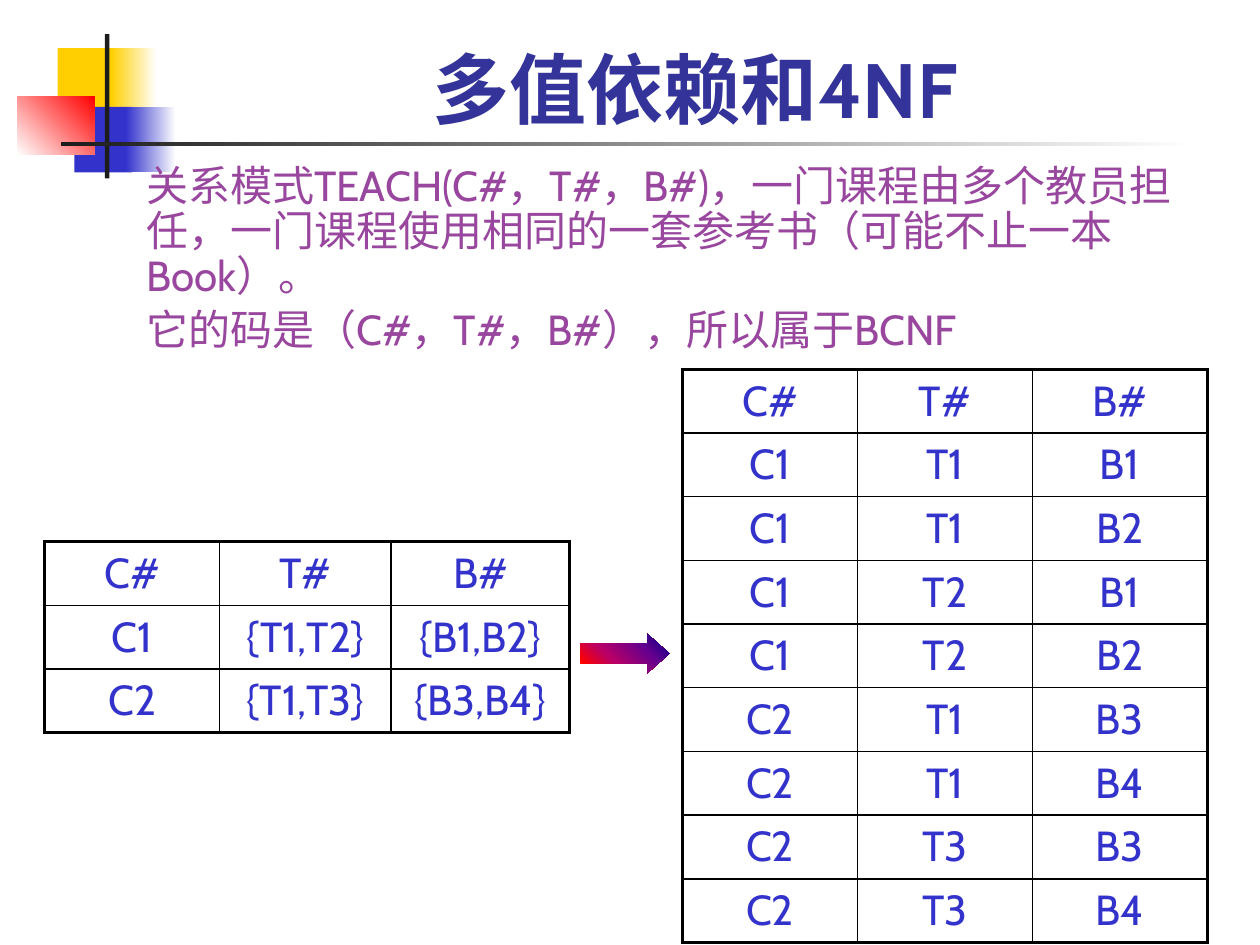
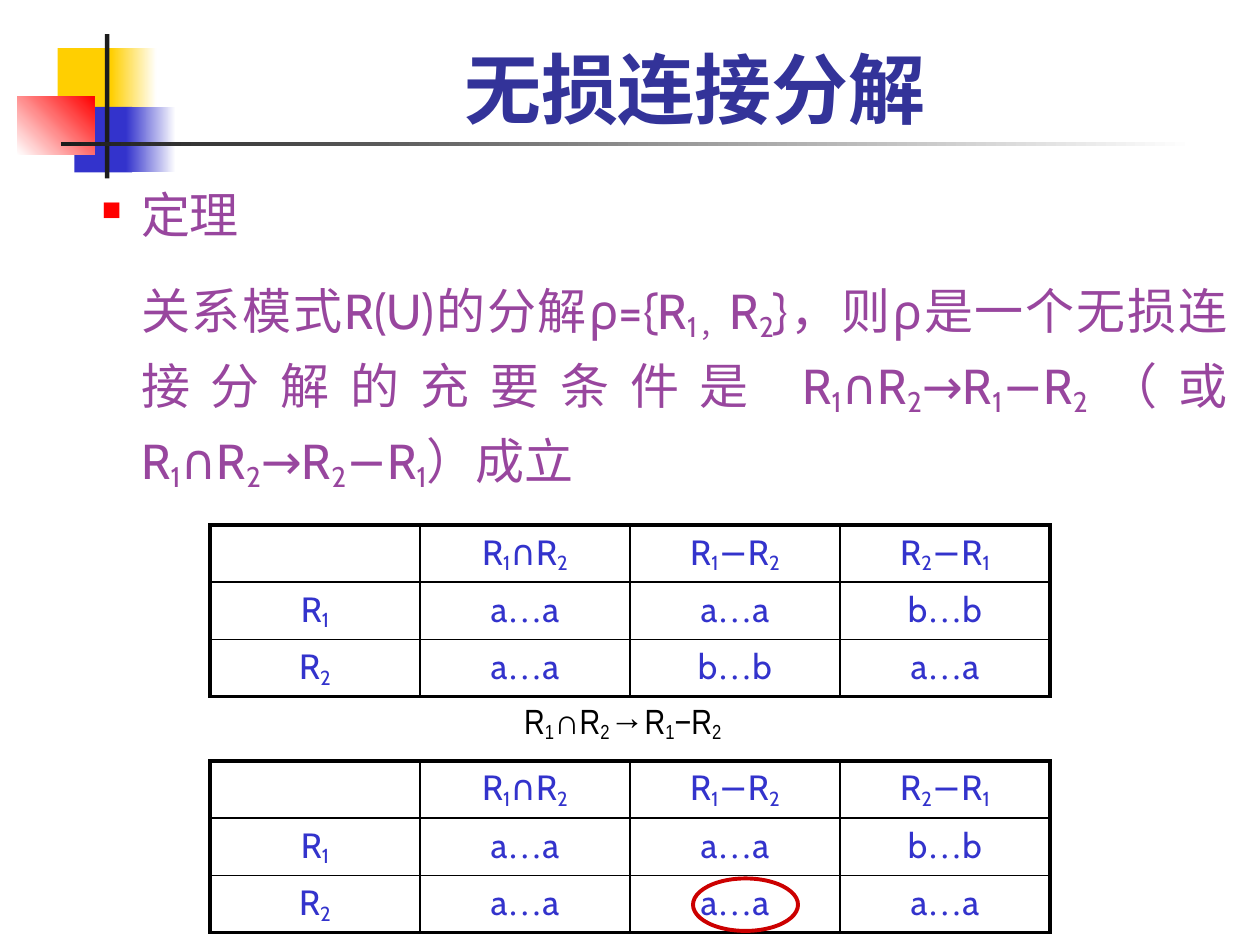
from itertools import groupby
from lxml.etree import SubElement
from pptx import Presentation
from pptx.dml.color import RGBColor
from pptx.enum.shapes import MSO_SHAPE as Shape
from pptx.enum.text import MSO_ANCHOR as Anchor, MSO_AUTO_SIZE as AutoSize, PP_ALIGN as Align
from pptx.oxml.ns import qn
from pptx.util import Pt

YELLOW = RGBColor(0xFF, 0xCF, 0x01)
BLUE = RGBColor(0x33, 0x33, 0xCC)
RED = RGBColor(0xFF, 0x00, 0x00)
WHITE = RGBColor(0xFF, 0xFF, 0xFF)
BLACK = RGBColor(0x00, 0x00, 0x00)
CHARCOAL = RGBColor(0x1C, 0x1C, 0x1C)
TITLE_BLUE = RGBColor(0x33, 0x33, 0x99)
PURPLE = RGBColor(0x98, 0x46, 0x9E)
RING_RED = RGBColor(0xCC, 0x00, 0x00)
ARROW_STOPS = [
    (0, RGBColor(0xFF, 0x82, 0x00)),
    (10, RED),
    (35, RGBColor(0xBA, 0x00, 0x66)),
    (70, RGBColor(0x66, 0x00, 0x8F)),
    (100, RGBColor(0x00, 0x00, 0x82)),
]
FONT, CAPTION_FONT, DOTS_FONT = "Cabin", "Arial Narrow", "Times New Roman"
OUTER_LINE, INNER_LINE = 2.25, 1
TITLE_BOX = (90.5, 12.25, 613.5, 67.75)
BODY_MARGIN, BULLET_HANG = 58.5, 22.5

DECORATION = [
    ((33, 27.5, 34.5, 37.5), [YELLOW], 0),
    ((63.5, 27.5, 26, 37.5), [YELLOW, WHITE], 0),
    ((42.5, 61, 33, 37.5), [BLUE], 0),
    ((72, 61, 28.5, 37.5), [BLUE, WHITE], 0),
    ((10, 55, 44, 33.5), [WHITE, RED], 45),
    ((60, 19.5, 2.5, 82.5), [CHARCOAL], 0),
    ((35, 81.25, 648, 2.5), [CHARCOAL, WHITE], 0),
]

TEACH_TITLE = "多值依赖和4NF"
TEACH_TEXT = [
    "关系模式TEACH(C#，T#，B#)，一门课程由多个教员担任，一门课程使用相同的一套参考书（可能不止一本Book）。",
    "它的码是（C#，T#，B#），所以属于BCNF",
]
TEACH_HEAD = ["C#", "T#", "B#"]
COURSES = [
    ("C1", ["T1", "T2"], ["B1", "B2"]),
    ("C2", ["T1", "T3"], ["B3", "B4"]),
]

JOIN_TITLE = "无损连接分解"
THEOREM_HEAD = "定理"
THEOREM = (
    "关系模式R(U)的分解ρ={R_1_，R_2}，则ρ是一个无损连接分解的充要条件是 "
    "R_1∩R_2→R_1−R_2（或R_1∩R_2→R_2−R_1）成立"
)
JOIN_HEAD = ["", "R_1∩R_2", "R_1−R_2", "R_2−R_1"]
JOIN_BEFORE = [
    JOIN_HEAD,
    ["R_1", "a…a", "a…a", "b…b"],
    ["R_2", "a…a", "b…b", "a…a"],
]
JOIN_AFTER = JOIN_BEFORE[:2] + [["R_2", "a…a", "a…a", "a…a"]]
JOIN_CAPTION = "R_1∩R_2→R_1−R_2"


def points(place):
    return [Pt(value) for value in place]


def marked_characters(text):
    lowered = False
    for letter in text:
        if letter == "_":
            lowered = True
        else:
            yield letter, lowered, letter == "…"
            lowered = False


def write(para, text, size, color, font=FONT, bold=False, align=Align.LEFT):
    para.alignment = align
    para.font.name, para.font.size, para.font.bold = font, Pt(size), bold
    para.font.color.rgb = color
    for (lowered, dots), letters in groupby(marked_characters(text), lambda mark: mark[1:]):
        span = para.add_run()
        span.text = "".join(letter[0] for letter in letters)
        if lowered:
            span._r.get_or_add_rPr().set("baseline", "-16000")
        if dots:
            span.font.name = DOTS_FONT


def add_frame(page, place, wrap=True):
    frame = page.shapes.add_textbox(*points(place)).text_frame
    frame.word_wrap = wrap
    return frame


def indent(para, hang=0):
    properties = para._p.get_or_add_pPr()
    properties.set("marL", str(Pt(BODY_MARGIN)))
    properties.set("indent", str(-Pt(hang)))
    return properties


def add_bullet(para):
    properties = indent(para, BULLET_HANG)
    bullet_color = SubElement(properties, qn("a:buClr"))
    SubElement(bullet_color, qn("a:srgbClr"), val=str(RED))
    SubElement(properties, qn("a:buSzPct"), val="55000")
    SubElement(properties, qn("a:buChar"), char="■")


def add_plain_shape(page, kind, place):
    shape = page.shapes.add_shape(kind, *points(place))
    shape.shadow.inherit = False
    shape.line.fill.background()
    return shape


def fill_gradient(shape, stops, angle):
    shape.fill.gradient()
    shape.fill.gradient_angle = angle
    stop_list = shape._element.spPr.find(qn("a:gradFill")).find(qn("a:gsLst"))
    stop_list.clear()
    for position, color in stops:
        stop = SubElement(stop_list, qn("a:gs"), pos=str(position * 1000))
        SubElement(stop, qn("a:srgbClr"), val=str(color))


def add_page(deck, title):
    page = deck.slides.add_slide(deck.slide_layouts[6])
    for place, colors, angle in DECORATION:
        block = add_plain_shape(page, Shape.RECTANGLE, place)
        if len(colors) == 1:
            block.fill.solid()
            block.fill.fore_color.rgb = colors[0]
        else:
            fill_gradient(block, zip((0, 100), colors), angle)
    frame = add_frame(page, TITLE_BOX)
    frame.vertical_anchor = Anchor.BOTTOM
    write(frame.paragraphs[0], title, 44, TITLE_BLUE, bold=True, align=Align.CENTER)
    return page


def set_borders(cell, edges):
    properties = cell._tc.get_or_add_tcPr()
    for side, outer in edges.items():
        width = Pt(OUTER_LINE if outer else INNER_LINE)
        line = SubElement(properties, qn(f"a:ln{side}"), w=str(width))
        SubElement(SubElement(line, qn("a:solidFill")), qn("a:srgbClr"), val=str(BLACK))
    cell.fill.background()


def add_grid(page, left, top, widths, row_height, rows, size):
    last_row, last_column = len(rows) - 1, len(widths) - 1
    place = (left, top, sum(widths), row_height * len(rows))
    table = page.shapes.add_table(len(rows), len(widths), *points(place)).table
    for column, width in zip(table.columns, widths):
        column.width = Pt(width)
    for i, texts in enumerate(rows):
        table.rows[i].height = Pt(row_height)
        for j, text in enumerate(texts):
            cell = table.cell(i, j)
            write(cell.text_frame.paragraphs[0], text, size, BLUE, align=Align.CENTER)
            set_borders(cell, {"L": j == 0, "R": j == last_column,
                               "T": i == 0, "B": i == last_row})


def add_teach_page(deck):
    page = add_page(deck, TEACH_TITLE)
    frame = add_frame(page, (18, 90.75, 678, 113.75))
    for i, text in enumerate(TEACH_TEXT):
        para = frame.add_paragraph() if i else frame.paragraphs[0]
        indent(para)
        para.line_spacing = 0.9
        para.space_before = Pt(4.8 if i else 0)
        write(para, text, 24, PURPLE)

    nested = [[course, "{" + ",".join(teachers) + "}", "{" + ",".join(books) + "}"]
              for course, teachers, books in COURSES]
    flat = [[course, teacher, book] for course, teachers, books in COURSES
            for teacher in teachers for book in books]
    add_grid(page, 390, 211, [100] * 3, 36.4, [TEACH_HEAD] + flat, 24)
    add_grid(page, 25.5, 309.5, [100, 98, 102], 36.4, [TEACH_HEAD] + nested, 24)

    arrow = add_plain_shape(page, Shape.RIGHT_ARROW, (331.5, 362.25, 51, 22.5))
    arrow.adjustments[0], arrow.adjustments[1] = 0.5, 0.56
    fill_gradient(arrow, ARROW_STOPS, 45)


def add_join_page(deck):
    page = add_page(deck, JOIN_TITLE)
    frame = add_frame(page, (15, 102, 693.5, 219.5))
    heading = frame.paragraphs[0]
    add_bullet(heading)
    write(heading, THEOREM_HEAD, 28, PURPLE, align=Align.JUSTIFY)
    theorem = frame.add_paragraph()
    indent(theorem)
    theorem.line_spacing = 1.2
    theorem.space_before = Pt(14)
    write(theorem, THEOREM, 28, PURPLE, align=Align.JUSTIFY)

    for top, rows in ((300, JOIN_BEFORE), (434.75, JOIN_AFTER)):
        add_grid(page, 120, top, [120] * 4, 32.7, rows, 20)

    caption = add_frame(page, (292.5, 396, 136, 31), wrap=False)
    caption.auto_size = AutoSize.SHAPE_TO_FIT_TEXT
    write(caption.paragraphs[0], JOIN_CAPTION, 20, BLACK, font=CAPTION_FONT)

    ring = add_plain_shape(page, Shape.OVAL, (396, 502, 60, 30))
    ring.fill.background()
    ring.line.color.rgb = RING_RED
    ring.line.width = Pt(2.25)


def main():
    deck = Presentation()
    deck.slide_width, deck.slide_height = Pt(720), Pt(540)
    add_teach_page(deck)
    add_join_page(deck)
    deck.save("out.pptx")


if __name__ == "__main__":
    main()
